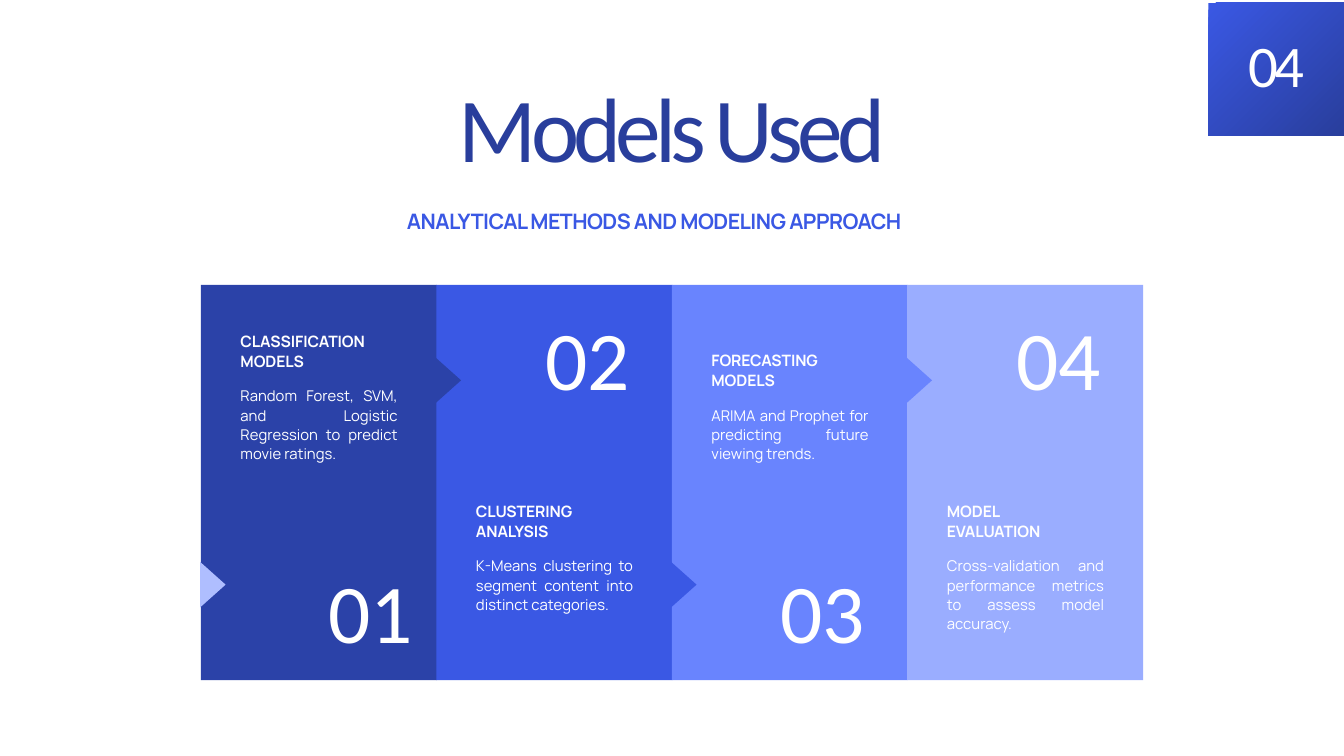
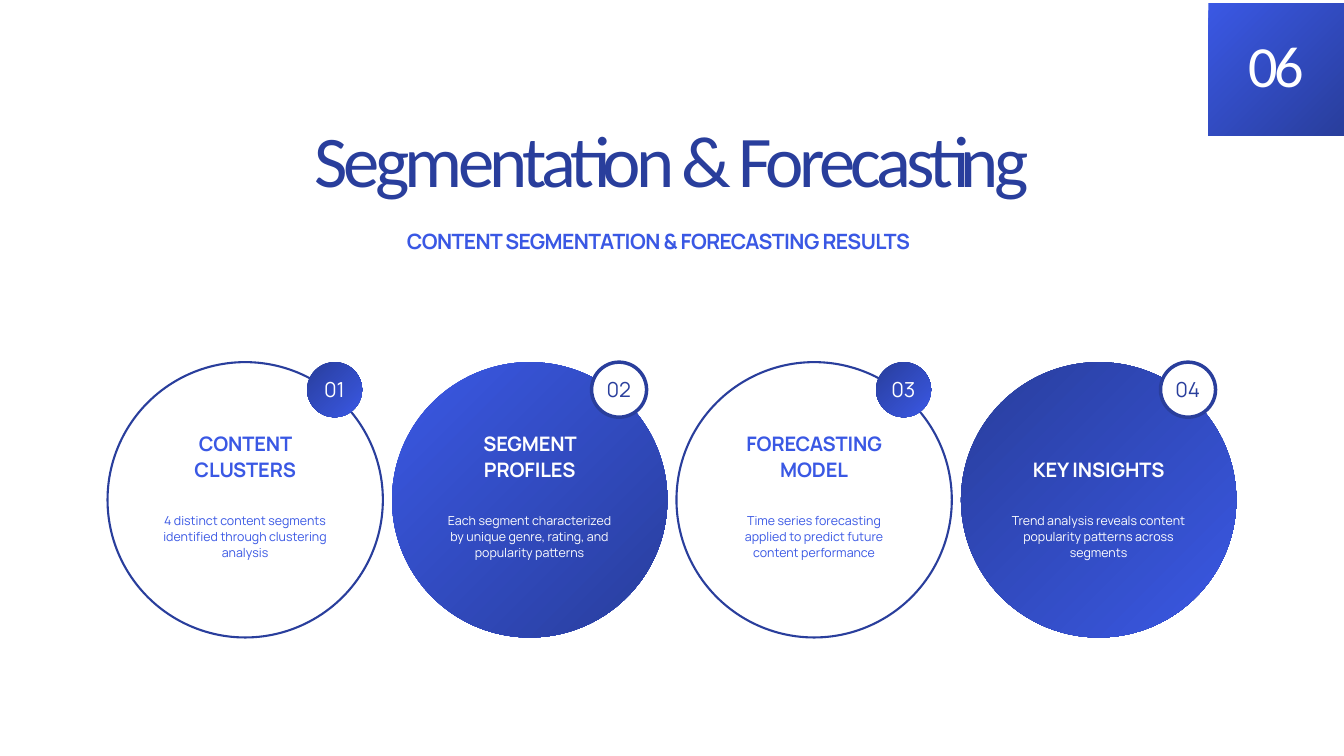
from pptx import Presentation
from pptx.dml.color import RGBColor
from pptx.enum import shapes as sh, text as tx
from pptx.util import Pt

NAVY = RGBColor(0x29, 0x3E, 0x9C)
BLUE = RGBColor(0x3A, 0x58, 0xE4)
WHITE = RGBColor(0xFF, 0xFF, 0xFF)
PALE = RGBColor(0xAF, 0xBE, 0xFF)
INK = RGBColor(0x2B, 0x42, 0xA8)
SKY = RGBColor(0x69, 0x84, 0xFE)
MIST = RGBColor(0x9A, 0xAD, 0xFF)
KIND = sh.MSO_SHAPE
LEFT, MID, JUST = tx.PP_ALIGN.LEFT, tx.PP_ALIGN.CENTER, tx.PP_ALIGN.JUSTIFY


def write(slide, words, x, y, w, h, size, lead, color=WHITE, font="Manrope",
          bold=False, align=MID, track=0, title=False):
    box = slide.shapes.title if title else slide.shapes.add_textbox(0, 0, 0, 0)
    box.left, box.top, box.width, box.height = Pt(x), Pt(y), Pt(w), Pt(h)
    frame = box.text_frame
    frame.word_wrap = True
    frame.auto_size = tx.MSO_AUTO_SIZE.NONE
    frame.vertical_anchor = tx.MSO_ANCHOR.TOP
    frame.margin_left = frame.margin_right = frame.margin_top = frame.margin_bottom = 0
    frame.text = words
    for para in frame.paragraphs:
        para.alignment = align
        para.line_spacing = Pt(lead)
        para.space_before = Pt(0)
        for run in para.runs:
            run.font.name, run.font.size, run.font.bold = font, Pt(size), bold
            run.font.color.rgb = color
            run.font._element.set("spc", str(round(track * 100)))


def draw(slide, kind, x, y, w, h, fills=(), line=None, width=0):
    shape = slide.shapes.add_shape(kind, Pt(x), Pt(y), Pt(w), Pt(h))
    shape.shadow.inherit = False
    if len(fills) == 2:
        shape.fill.gradient()
        shape.fill.gradient_angle = 315
        for stop, color in zip(shape.fill.gradient_stops, fills):
            stop.color.rgb = color
    elif fills:
        shape.fill.solid()
        shape.fill.fore_color.rgb = fills[0]
    else:
        shape.fill.background()
    if line:
        shape.line.color.rgb = line
        shape.line.width = Pt(width)
    else:
        shape.line.fill.background()
    return shape


deck = Presentation()
deck.slide_width, deck.slide_height = Pt(1440), Pt(810)

heads = [
    ("04", 63.1, 61.9, 2.9, "Models Used", 97.9, 96, -6.3, 97.9, 100,
     "ANALYTICAL METHODS AND MODELING APPROACH", 22.8, 31.9, 218.2),
    ("06", 62.4, 61.2, 3.6, "Segmentation & Forecasting", 77.9, 76.3, -5, 140.4, 80,
     "CONTENT SEGMENTATION & FORECASTING RESULTS", 22.6, 31.6, 239.8),
]
slides = []
for (page, psize, plead, ptop, name, nsize, nlead, track, ntop, tall,
     sub, ssize, slead, stop) in heads:
    slide = deck.slides.add_slide(deck.slide_layouts[5])
    slides.append(slide)
    draw(slide, KIND.RECTANGLE, 1294.6, ptop, 145.4, 145.4 - ptop, (BLUE, NAVY))
    write(slide, page, 1313.3, 44.6, 108, 67.5, psize, plead, font="Calibri", track=-4)
    write(slide, sub, 436, stop, 555, 31, ssize, slead, BLUE, bold=True,
          align=LEFT, track=-0.6)
    write(slide, name, 265, ntop, 910, tall, nsize, nlead, NAVY, "Calibri",
          track=track, title=True)

models, groups = slides

panels = [
    ("01", "CLASSIFICATION\nMODELS",
     "Random Forest, SVM, and Logistic Regression to predict movie ratings.",
     INK, PALE, 353.5, 136.8),
    ("02", "CLUSTERING ANALYSIS",
     "K-Means clustering to segment content into distinct categories.",
     BLUE, INK, 535.7, 117.4),
    ("03", "FORECASTING\nMODELS",
     "ARIMA and Prophet for predicting future viewing trends.",
     SKY, BLUE, 374.4, 116),
    ("04", "MODEL\nEVALUATION",
     "Cross-validation and performance metrics to assess model accuracy.",
     MIST, SKY, 535.7, 117.4),
]
for i, panel in enumerate(panels):
    draw(models, KIND.RECTANGLE, 215.3 + 252.3 * i, 305.3, 252.7, 423.4, (panel[3],))

for i, (num, head, body, fill, tip, top, shift) in enumerate(panels):
    x = 215.3 + 252.3 * i
    odd = i % 2
    arrow = draw(models, KIND.ISOSCELES_TRIANGLE, x - 11.8, 393.8 if odd else 612.7,
                 49, 27.4, (tip,))
    arrow.rotation = 90
    write(models, head, x + 42.4, top, 168.5, 42.5, 16.8, 21.7, bold=True,
          align=JUST, track=-0.1)
    write(models, body, x + 42.4, top + 59.8, 168.5, 81.4, 15.9, 20.5, align=JUST)
    write(models, num, x + shift, 320.4 if odd else 591.8, 125, 111.6, 89.4, 115.4,
          font="Calibri", align=JUST, track=-0.3)

rings = [
    ("01", "CONTENT CLUSTERS",
     "4 distinct content segments identified through clustering analysis", (), 156, 460.8),
    ("02", "SEGMENT PROFILES",
     "Each segment characterized by unique genre, rating, and popularity patterns",
     (BLUE, NAVY), 156, 460.8),
    ("03", "FORECASTING MODEL",
     "Time series forecasting applied to predict future content performance", (), 186, 460.8),
    ("04", "KEY INSIGHTS",
     "Trend analysis reveals content popularity patterns across segments",
     (NAVY, BLUE), 156, 488.2),
]
for i, (num, head, body, fills, wide, top) in enumerate(rings):
    x = 115.2 + 304.8 * i
    color = WHITE if fills else BLUE
    draw(groups, KIND.OVAL, x, 388, 295, 295, fills, None if fills else NAVY, 2.25)
    write(groups, head, x + 147.5 - wide / 2, top, wide, 516.2 - top, 21.4, 27.6, color,
          bold=True, track=-0.1)
    write(groups, body, x + 52, 548.6, 191, 50.4, 13.3, 17.1, color)
    draw(groups, KIND.OVAL, x + 213.8, 388, 59, 59, (WHITE,) if fills else (NAVY, BLUE),
         NAVY if fills else None, 3.75)
    write(groups, num, x + 224, 401.8, 38.2, 28.8, 22.2, 28.7,
          NAVY if fills else WHITE, track=-0.1)

deck.save("out.pptx")
